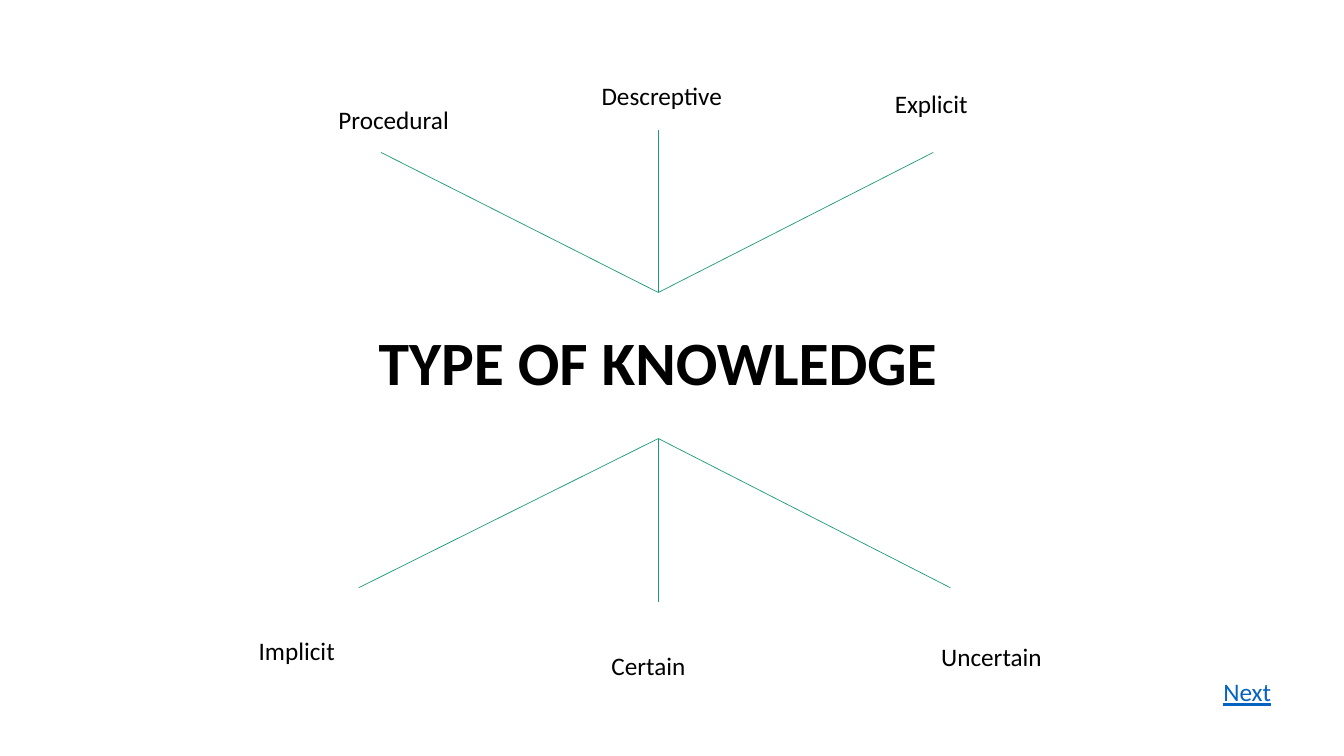
import dataclasses
import lxml.etree
import pptx
import pptx.dml.color
import pptx.enum.shapes
import pptx.enum.text
import pptx.oxml.ns
import pptx.util

Cm = pptx.util.Cm
HUES = {"ink": "000000", "ray": "1D9A78", "link": "0563C1"}
FONT = "Calibri"
MID = 16.59
TOP = 7.37
BASE = 11.05


@dataclasses.dataclass
class Label:
    text: str
    left: float
    top: float
    width: float
    hue: str = "ink"
    under: bool = False


@dataclasses.dataclass
class Ray:
    start: float
    x: float
    y: float


RAYS = [
    Ray(TOP, 23.52, 3.84),
    Ray(TOP, MID, 3.28),
    Ray(TOP, 9.6, 3.84),
    Ray(BASE, 9.04, 14.81),
    Ray(BASE, MID, 15.16),
    Ray(BASE, 23.95, 14.81),
]

LABELS = [
    Label("Procedural", 8.28, 2.51, 3.33),
    Label("Descreptive", 14.91, 1.9, 3.58),
    Label("Explicit", 22.3, 2.11, 2.36),
    Label("Certain", 15.16, 16.26, 2.39),
    Label("Implicit", 6.27, 15.88, 2.44),
    Label("Uncertain", 23.47, 16.03, 3.07),
    Label("Next", 30.58, 16.92, 1.73, "link", True),
]


def shade(name: str) -> pptx.dml.color.RGBColor:
    return pptx.dml.color.RGBColor.from_string(HUES[name])


def write(frame, text: str, *, size: float = 18, hue: str = "ink",
          bold: bool = False, under: bool = False, align=None, space=None) -> None:
    par = frame.paragraphs[0]
    par.alignment = align
    par.line_spacing = space
    run = par.add_run()
    run.text = text
    font = run.font
    font.name = FONT
    font.size = pptx.util.Pt(size)
    font.bold = bold
    font.underline = under
    font.color.rgb = shade(hue)


def head(slide) -> None:
    title = slide.shapes.title
    title.left, title.top = Cm(1.98), Cm(TOP)
    title.width, title.height = Cm(29.21), Cm(BASE - TOP)
    frame = title.text_frame
    frame.auto_size = pptx.enum.text.MSO_AUTO_SIZE.NONE
    frame.vertical_anchor = pptx.enum.text.MSO_ANCHOR.MIDDLE
    write(frame, "TYPE OF KNOWLEDGE", size=44, bold=True,
          align=pptx.enum.text.PP_ALIGN.CENTER, space=0.9)


def draw(slide, ray: Ray) -> None:
    line = slide.shapes.add_connector(
        pptx.enum.shapes.MSO_CONNECTOR.STRAIGHT,
        Cm(MID), Cm(ray.start), Cm(ray.x), Cm(ray.y))
    line.line.color.rgb = shade("ray")
    line.line.width = pptx.util.Pt(0.5)
    lxml.etree.SubElement(line._element.spPr, pptx.oxml.ns.qn("a:effectLst"))


def place(slide, label: Label) -> None:
    box = slide.shapes.add_textbox(
        Cm(label.left), Cm(label.top), Cm(label.width), Cm(1.02))
    frame = box.text_frame
    frame.word_wrap = False
    frame.auto_size = pptx.enum.text.MSO_AUTO_SIZE.SHAPE_TO_FIT_TEXT
    write(frame, label.text, hue=label.hue, under=label.under)


def main() -> None:
    deck = pptx.Presentation()
    deck.slide_width, deck.slide_height = Cm(33.87), Cm(19.05)
    slide = deck.slides.add_slide(deck.slide_layouts.get_by_name("Title Only"))
    head(slide)
    for ray in RAYS:
        draw(slide, ray)
    for label in LABELS:
        place(slide, label)
    deck.save("out.pptx")


if __name__ == "__main__":
    main()
